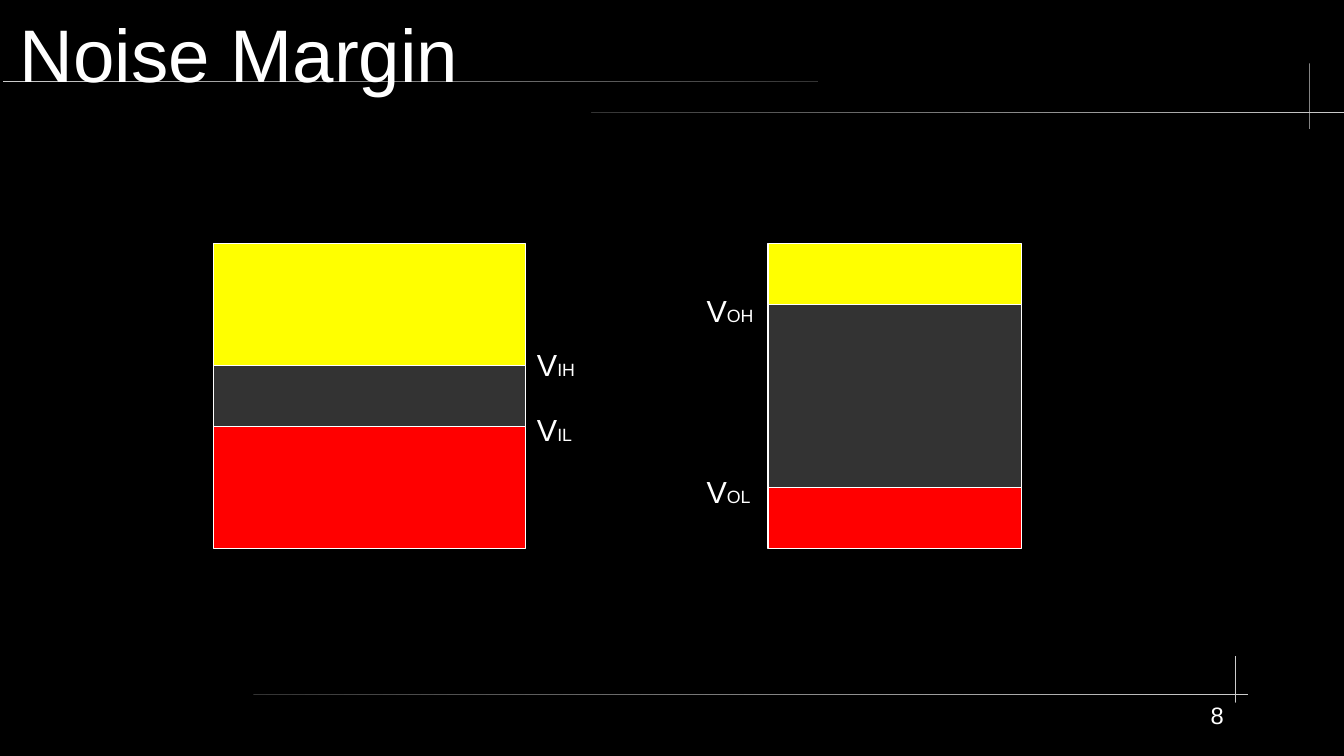
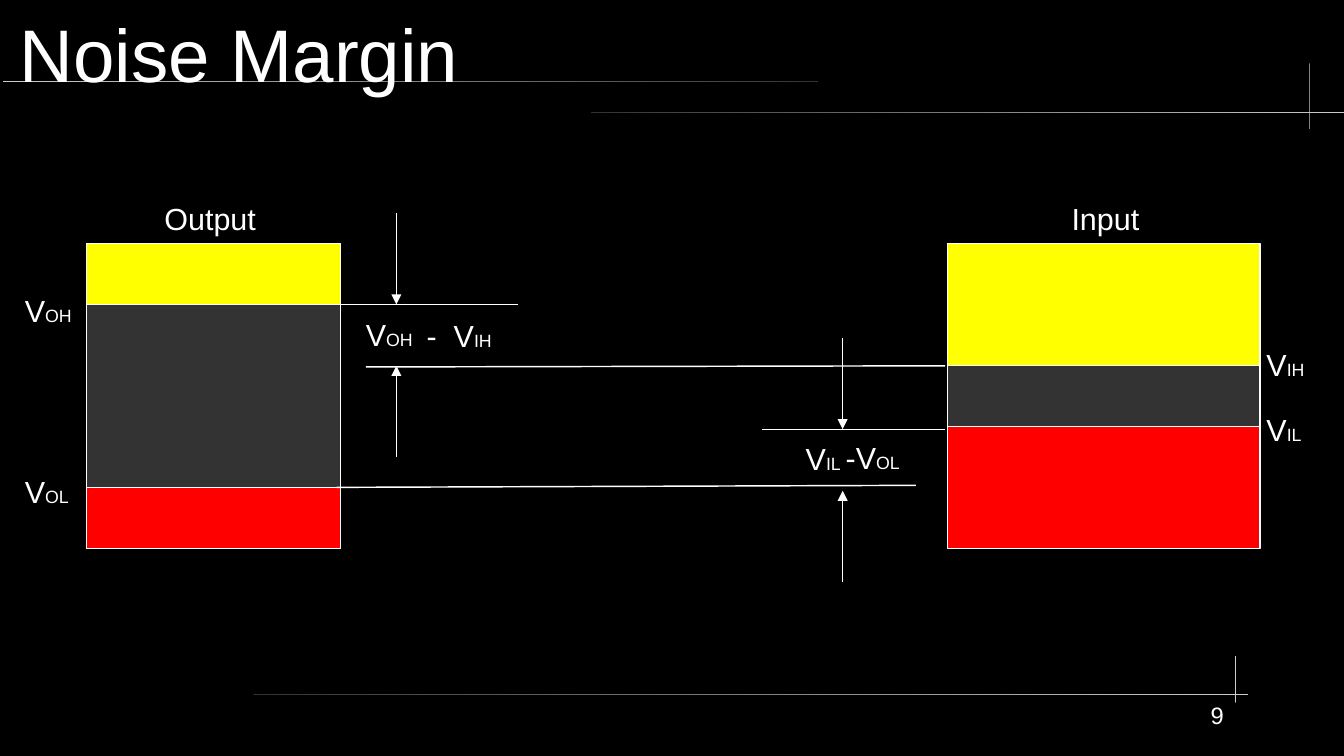
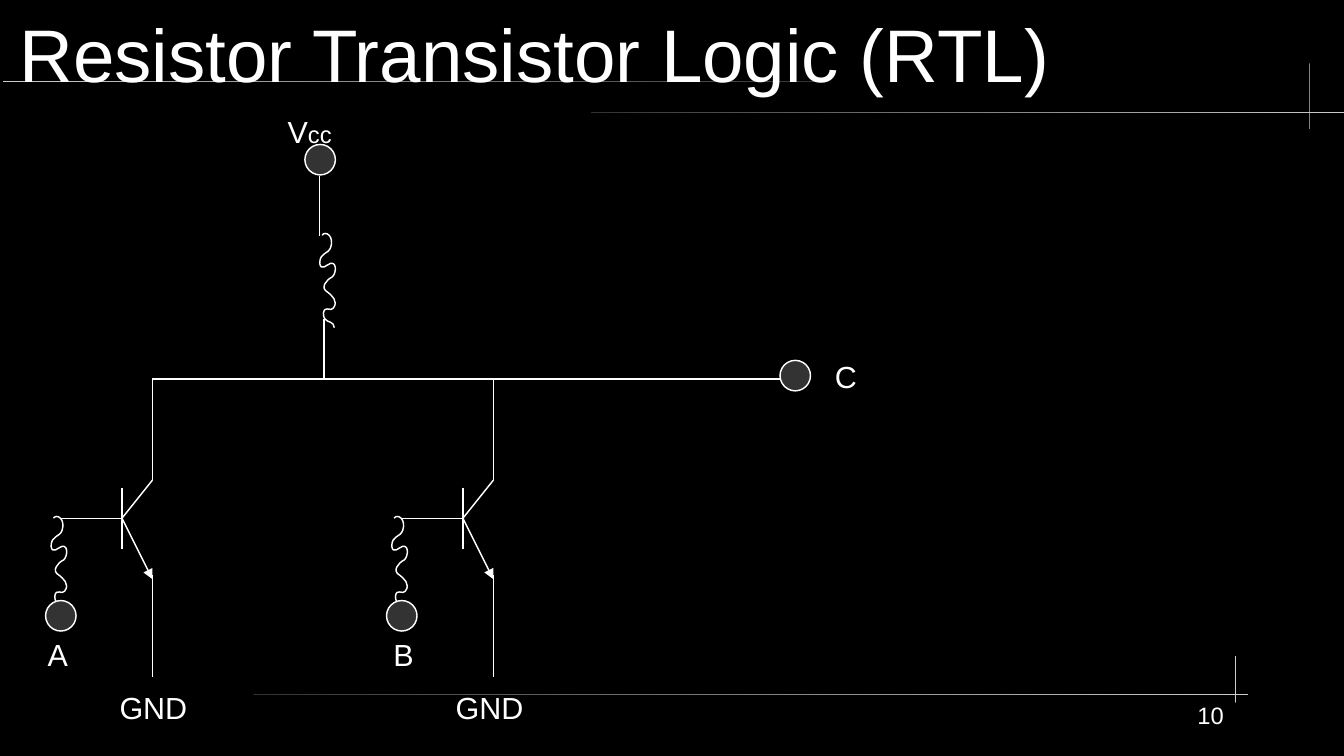
from lxml import etree
from pptx import Presentation
from pptx.dml.color import RGBColor
from pptx.enum.shapes import MSO_CONNECTOR, MSO_SHAPE
from pptx.enum.text import MSO_ANCHOR, MSO_AUTO_SIZE, PP_ALIGN
from pptx.oxml.ns import qn
from pptx.util import Pt

BLACK = RGBColor(0x00, 0x00, 0x00)
WHITE = RGBColor(0xFF, 0xFF, 0xFF)
DARK = RGBColor(0x33, 0x33, 0x33)
LIGHT = RGBColor(0xCC, 0xCC, 0xCC)
YELLOW = RGBColor(0xFF, 0xFF, 0x00)
RED = RGBColor(0xFF, 0x00, 0x00)
FONT = "Arial"
LINE_WIDTH = Pt(0.85)
STRAIGHT = MSO_CONNECTOR.STRAIGHT
RECT, ROUND_RECT, OVAL = MSO_SHAPE.RECTANGLE, MSO_SHAPE.ROUNDED_RECTANGLE, MSO_SHAPE.OVAL
MIDDLE = MSO_ANCHOR.MIDDLE
NO_FIT = MSO_AUTO_SIZE.NONE
LEFT, RIGHT = PP_ALIGN.LEFT, PP_ALIGN.RIGHT


def add_label(s, x, y, text, sub="", w=52, size=18, sub_size=10.5):
    tf = s.shapes.add_textbox(Pt(x), Pt(y), Pt(w), Pt(28)).text_frame
    tf.word_wrap = True
    p = tf.paragraphs[0]
    for part, part_size in ((text, size), (sub, sub_size)):
        if part:
            r = p.add_run()
            r.text = part
            r.font.name, r.font.size = FONT, Pt(part_size)
            r.font.color.rgb = WHITE
    return p


def add_line(s, x1, y1, x2, y2, arrow=False):
    c = s.shapes.add_connector(STRAIGHT, Pt(x1), Pt(y1), Pt(x2), Pt(y2))
    c.line.color.rgb = WHITE
    c.line.width = LINE_WIDTH
    sp_pr = c.element.spPr
    if arrow:
        etree.SubElement(sp_pr.find(qn("a:ln")), qn("a:tailEnd"), type="triangle")
    etree.SubElement(sp_pr, qn("a:effectLst"))


prs = Presentation()
prs.slide_width, prs.slide_height = Pt(793.44), Pt(446.4)
fill = prs.slide_master.background.fill
fill.solid()
fill.fore_color.rgb = BLACK
layout = prs.slide_layouts[5]

TITLES = ["Noise Margin", "Noise Margin", "Resistor Transistor Logic (RTL)"]
slides = []
for number, text in enumerate(TITLES, 8):
    s = prs.slides.add_slide(layout)
    slides.append(s)
    title = s.shapes.title
    title.left, title.top, title.width, title.height = Pt(11.5), Pt(5.8), Pt(751), Pt(51)
    tf = title.text_frame
    tf.text = text
    tf.auto_size = NO_FIT
    tf.word_wrap = True
    tf.vertical_anchor = MIDDLE
    tf.margin_left = tf.margin_right = tf.margin_top = tf.margin_bottom = 0
    p = tf.paragraphs[0]
    p.alignment = LEFT
    font = p.runs[0].font
    font.name, font.size = FONT, Pt(44)
    font.color.rgb = WHITE
    add_label(s, 659.6, 410.4, str(number), w=70, size=14).alignment = RIGHT

levels, margins, circuit = slides

RULES = [
    (1.6, 47.8, 481.7, 0.9, LIGHT, DARK),
    (349, 66.2, 447.1, 0.7, DARK, LIGHT),
    (773, 37.4, 0.7, 38.9, LIGHT, LIGHT),
    (149.6, 409.7, 587.2, 0.7, DARK, LIGHT),
    (729, 387.4, 0.7, 27.4, LIGHT, LIGHT),
]
for shape_id, (x, y, w, h, start, end) in enumerate(RULES, 100):
    sp = levels.shapes.add_shape(ROUND_RECT, Pt(x), Pt(y), Pt(w), Pt(h))
    sp.adjustments[0] = 0.5
    sp.shadow.inherit = False
    sp.line.fill.background()
    sp.fill.gradient()
    sp.fill.gradient_angle = 0
    for stop, color, position in zip(sp.fill.gradient_stops, (start, end), (0, 1)):
        stop.color.rgb = color
        stop.position = position
    sp.element.nvSpPr.cNvPr.set("id", str(shape_id))
    layout.shapes.element.append(sp.element)

COIL_W, COIL_H = 9.4, 55.4
COIL = [
    ("moveTo", [(1.4, 0.7)]),
    ("cubicBezTo", [(3.6, -2.2), (8.6, 1.4), (6.5, 7.9)]),
    ("cubicBezTo", [(5, 12.2), (0, 10.8), (0, 17.3)]),
    ("cubicBezTo", [(0.7, 22.3), (4.3, 18), (6.5, 17.3)]),
    ("cubicBezTo", [(10.8, 16.6), (9.4, 25.2), (6.5, 25.9)]),
    ("cubicBezTo", [(5, 26.6), (-0.7, 31.7), (5, 34.6)]),
    ("cubicBezTo", [(6.5, 36), (11.5, 39.6), (7.9, 43.9)]),
    ("cubicBezTo", [(6.5, 46.1), (2.9, 41.8), (2.2, 46.8)]),
    ("cubicBezTo", [(2.2, 52.6), (6.5, 51.1), (7.9, 53.3)]),
    ("lnTo", [(8.6, 55.4)]),
]
for x, y in ((188.8, 138.2), (30.2, 305.3), (231.3, 305.3)):
    builder = circuit.shapes.build_freeform(Pt(x), Pt(y))
    builder.add_line_segments([(Pt(x + COIL_W), Pt(y + COIL_H))], close=False)
    sp = builder.convert_to_shape()
    sp.shadow.inherit = False
    sp.fill.background()
    sp.line.color.rgb = WHITE
    sp.line.width = LINE_WIDTH
    outline = sp.element.spPr.find(".//" + qn("a:path"))
    for segment in list(outline):
        outline.remove(segment)
    for tag, points in COIL:
        segment = etree.SubElement(outline, qn("a:" + tag))
        for dx, dy in points:
            etree.SubElement(segment, qn("a:pt"), x=str(int(Pt(dx))), y=str(int(Pt(dy))))

TRANSISTOR = [
    (18, 223.7, 18, 283.5),
    (18, 283.5, 0, 306),
    (0, 288, 0, 324),
    (0, 306, 18, 342, True),
    (-36, 306, 0, 306),
    (18, 339.8, 18, 399.6),
]
for base in (72, 273.3):
    for x1, y1, x2, y2, *arrow in TRANSISTOR:
        add_line(circuit, base + x1, y1, base + x2, y2, *arrow)
for wire in ((188.5, 103.7, 188.5, 139.4), (191.3, 188.6, 191.3, 224.4), (90, 223.7, 468, 223.7)):
    add_line(circuit, *wire)

blocks = [
    (circuit, OVAL, x, y, 18, 18, DARK)
    for x, y in ((180, 85.3), (460.5, 212.8), (26.9, 354.6), (228.2, 354.6))
]
INPUT = (184.3, (72, 36, 72))
OUTPUT = (149.7, (36, 108, 36))
STACKS = [
    (levels, 126, INPUT),
    (levels, 453.5, OUTPUT),
    (margins, 559.5, INPUT),
    (margins, 51.2, OUTPUT),
]
for s, x, (w, heights) in STACKS:
    y = 143.8
    for h, color in zip(heights, (YELLOW, DARK, RED)):
        blocks.append((s, RECT, x, y, w, h, color))
        y += h

for s, kind, x, y, w, h, color in blocks:
    sp = s.shapes.add_shape(kind, Pt(x), Pt(y), Pt(w), Pt(h))
    sp.shadow.inherit = False
    sp.fill.solid()
    sp.fill.fore_color.rgb = color
    sp.line.color.rgb = WHITE
    sp.line.width = LINE_WIDTH

MARGIN_LINES = [
    (198, 179.8, 306, 179.8),
    (216, 216.7, 558, 216),
    (450, 253.6, 558, 253.6),
    (198.7, 287.8, 540.7, 286.6),
    (234, 126, 234, 179.8, True),
    (234, 270, 234, 216, True),
    (497.5, 343.8, 497.5, 289.8, True),
    (497.5, 199.4, 497.5, 253.4, True),
]
for line in MARGIN_LINES:
    add_line(margins, *line)

for s, input_x, output_x in ((levels, 309.9, 410.1), (margins, 740.6, 7.6)):
    add_label(s, input_x, 200.9, "V", "IH")
    add_label(s, input_x, 239.4, "V", "IL")
    add_label(s, output_x, 169.2, "V", "OH")
    add_label(s, output_x, 275.8, "V", "OL")

add_label(margins, 208.9, 182.9, "V", "OH")
add_label(margins, 244.8, 183.6, "-  V", "IH", w=60)
add_label(margins, 468.6, 256.3, "V", "IL")
add_label(margins, 492.2, 255.6, "-V", "OL")
add_label(margins, 90, 114.5, "Output", w=76)
add_label(margins, 625.5, 114.5, "Input", w=60)

add_label(circuit, 162.7, 63.4, "V", "cc", sub_size=14)
for x, y, text in (
    (485.8, 208.1, "C"),
    (21, 372.2, "A"),
    (225.1, 372.2, "B"),
    (63.5, 403.2, "GND"),
    (261.9, 403.2, "GND"),
):
    add_label(circuit, x, y, text, w=60)

prs.save("out.pptx")
